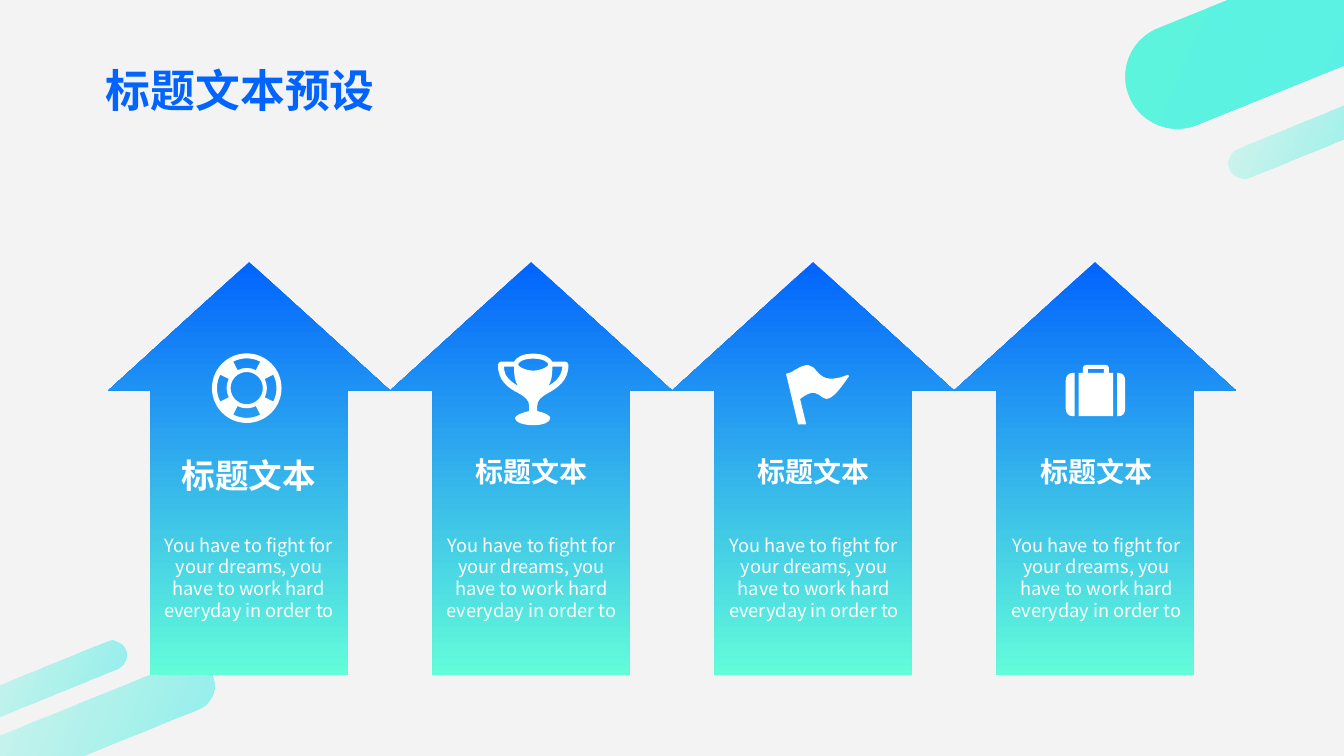
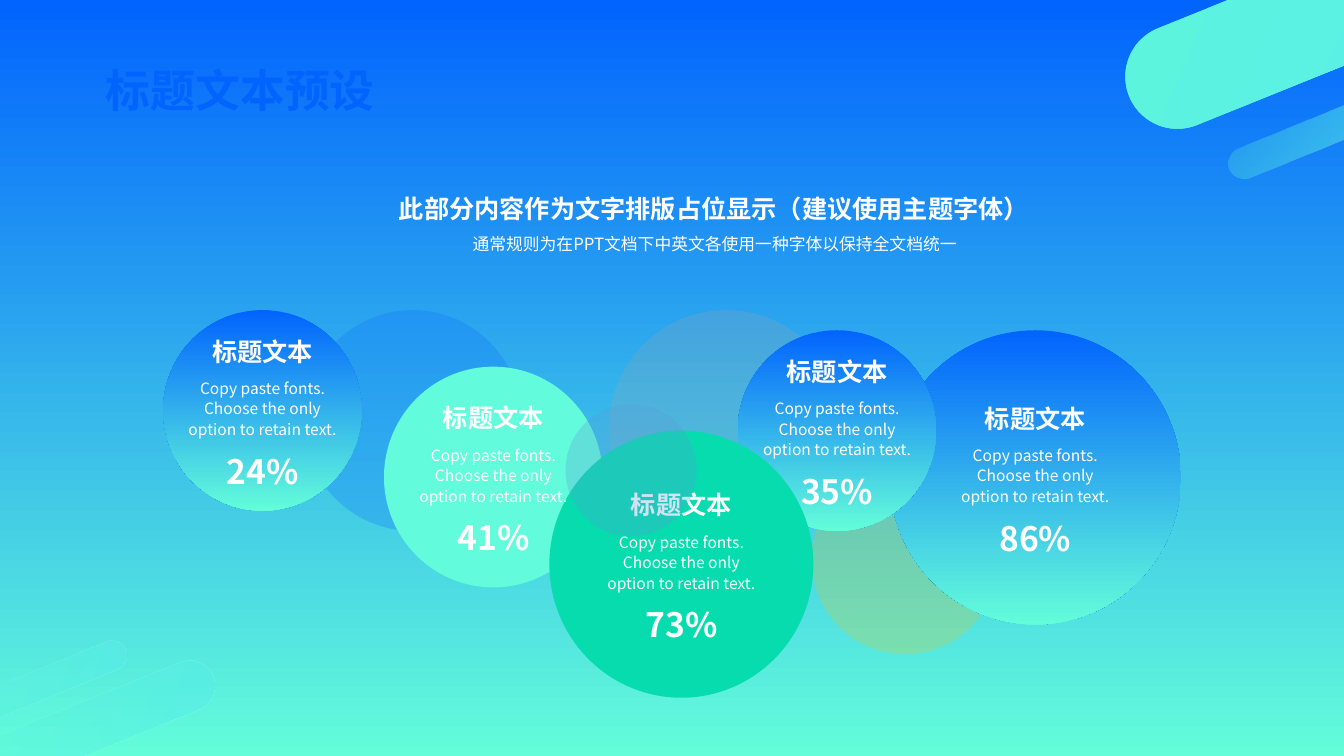
import math
import lxml.etree
import pptx
import pptx.dml.color
import pptx.enum.shapes
import pptx.enum.text
import pptx.oxml.ns
import pptx.util

Pt = pptx.util.Pt
KIND = pptx.enum.shapes.MSO_SHAPE
ALIGN = pptx.enum.text.PP_ALIGN
ANCHOR = pptx.enum.text.MSO_ANCHOR
qn = pptx.oxml.ns.qn

FONT = "Noto Sans CJK SC"
WHITE, BLUE, MINT = "FFFFFF", "0164FE", "63FDDA"
FADE = (BLUE, MINT)
BAR = ("5EF5DC", "58EDEA")
HEAD = "标题文本预设"
NAME = "标题文本"
DREAM = "You have to fight for your dreams, you have to work hard everyday in order to"
COPY = "Copy paste fonts. Choose the only option to retain text."

BARS = [
    ((796.4, -20.7, 278.6, 74.4), (100, 100)),
    ((874.1, 86.4, 122.4, 22.3), (20, 66)),
    ((-32.4, 501.1, 191.5, 36), (20, 66)),
    ((-27, 476.2, 121, 20.9), (20, 66)),
]

CUP = [
    [(39, 52), (39, 46, 43, 43, 50, 39), (59, 34, 70, 27, 70, 11), (70, 9, 68, 8, 67, 8),
     (54, 8), (52, 4, 46, 0, 35, 0), (24, 0, 18, 4, 16, 8), (3, 8), (2, 8, 0, 9, 0, 11),
     (0, 27, 10, 34, 20, 39), (27, 43, 31, 46, 31, 52), (31, 57), (22, 59, 17, 62, 17, 64),
     (17, 68, 25, 71, 35, 71), (45, 71, 52, 68, 52, 64), (52, 62, 48, 59, 39, 57)],
    [(50, 32), (53, 28, 54, 22, 54, 13), (64, 13), (63, 23, 57, 28, 50, 32)],
    [(35, 5), (46, 5, 50, 9, 50, 11), (50, 12, 46, 16, 35, 17),
     (24, 16, 20, 12, 20, 11), (20, 9, 24, 5, 35, 5)],
    [(6, 13), (16, 13), (16, 22, 17, 28, 20, 32), (13, 28, 6, 23, 6, 13)],
]
FLAG = [
    [(61, 25), (21, 41, 38, 0, 6, 22), (0, 24), (12, 74), (20, 74), (14, 49),
     (41, 27, 30, 74, 62, 27), (64, 27, 62, 25, 61, 25)],
]
CASE = [
    [(9, 51), (7, 51), (3, 51, 0, 48, 0, 43), (0, 16), (0, 11, 3, 8, 7, 8), (9, 8)],
    [(47, 51), (13, 51), (13, 8), (17, 8), (17, 3), (17, 1, 19, 0, 21, 0), (39, 0),
     (41, 0, 43, 1, 43, 3), (43, 8), (47, 8)],
    [(38, 8), (38, 4), (22, 4), (22, 8)],
    [(59, 43), (59, 48, 57, 51, 52, 51), (51, 51), (51, 8), (52, 8), (57, 8, 59, 11, 59, 16)],
]


def hue(code):
    """Turn a hex string into a colour."""
    return pptx.dml.color.RGBColor.from_string(code)


def blend(fill, tones, angle=90):
    """Give a fill a two-stop gradient, with the angle clockwise."""
    fill.gradient()
    fill.gradient_angle = 360 - angle
    for stop, tone in zip(fill.gradient_stops, tones):
        stop.color.rgb = hue(tone)


def paint(shape, tones, angle=90, alphas=(100, 100)):
    """Fill a shape with one tone or two, without line or shadow."""
    if len(tones) == 1:
        shape.fill.solid()
        shape.fill.fore_color.rgb = hue(tones[0])
    else:
        blend(shape.fill, tones, angle)
    shape.line.fill.background()
    shape.shadow.inherit = False
    for node, alpha in zip(shape._element.spPr.iter(qn("a:srgbClr")), alphas):
        if alpha < 100:
            lxml.etree.SubElement(node, qn("a:alpha")).set("val", str(alpha * 1000))


def place(slide, kind, box):
    """Add a preset shape in a box."""
    return slide.shapes.add_shape(kind, *map(Pt, box))


def write(frame, text, size, tone=WHITE, bold=False, align=ALIGN.CENTER,
          anchor=ANCHOR.TOP, space=1.0, left=7.2):
    """Set and format the text of a frame."""
    frame.word_wrap = True
    frame.auto_size = pptx.enum.text.MSO_AUTO_SIZE.NONE
    frame.vertical_anchor = anchor
    frame.margin_left, frame.margin_right = Pt(left), Pt(7.2)
    frame.margin_top = frame.margin_bottom = Pt(3.6)
    frame.text = text
    para = frame.paragraphs[0]
    para.alignment = align
    para.line_spacing = space
    for run in para.runs:
        run.font.size = Pt(size)
        run.font.bold = bold
        run.font.color.rgb = hue(tone)
        run.font.name = FONT
        east = lxml.etree.SubElement(run._r.get_or_add_rPr(), qn("a:ea"))
        east.set("typeface", FONT)


def label(slide, box, text, size, **style):
    """Add a text box."""
    area = slide.shapes.add_textbox(*map(Pt, box))
    write(area.text_frame, text, size, **style)


def start(deck):
    """Add a slide with the shared title and corner bars."""
    slide = deck.slides.add_slide(deck.slide_layouts[5])
    title = slide.shapes.title
    title.left, title.top, title.width, title.height = map(Pt, (68.4, 41, 307.4, 46.1))
    write(title.text_frame, HEAD, 32, tone=BLUE, bold=True, align=ALIGN.LEFT)
    for box, alphas in BARS:
        bar = place(slide, KIND.ROUNDED_RECTANGLE, box)
        bar.adjustments[0] = 0.5
        bar.rotation = 338
        paint(bar, BAR, 45, alphas)
    return slide


def arc(radius, first, last):
    """Make the start point and cubic curves of an arc of the life ring."""
    count = math.ceil(abs(last - first) / 90)
    turn = math.radians(last - first) / count
    pull = 4 / 3 * math.tan(turn / 4)
    parts = []
    for i in range(count + 1):
        angle = math.radians(first) + turn * i
        dx, dy = radius * math.cos(angle), radius * math.sin(angle)
        x, y = 34.5 + dx, 34.5 + dy
        parts.append((*grip, x + pull * dy, y - pull * dx, x, y) if i else (x, y))
        grip = (x - pull * dy, y + pull * dx)
    return parts


def ring():
    """List the loops of the life ring."""
    gaps = [arc(29.5, a - 27, a + 27) + arc(20, a + 27, a - 27) for a in range(0, 360, 90)]
    return [arc(34.5, 0, 360), arc(16, 0, 360)] + gaps


def icon(slide, left, top, loops):
    """Draw white loops, in hundredths of an inch, from a corner."""
    pen = None
    for loop in loops:
        dots = [(part[i] * 72, part[i + 1] * 72) for part in loop for i in range(0, len(part), 2)]
        if pen is None:
            pen = slide.shapes.build_freeform(*dots[0], scale=Pt(0.01))
        else:
            pen.move_to(*dots[0])
        pen.add_line_segments(dots[1:], close=True)
    shape = pen.convert_to_shape(Pt(left), Pt(top))
    nodes = iter(list(shape._element.spPr.iter(qn("a:lnTo"))))
    for part in (part for loop in loops for part in loop[1:]):
        node = next(nodes)
        if len(part) == 6:
            node.tag = qn("a:cubicBezTo")
            for _ in range(2):
                spare = next(nodes)
                node.append(spare[0])
                spare.getparent().remove(spare)
    paint(shape, [WHITE])


def arrow(slide, box, inner, loops, spot, size):
    """Draw an arrow with its icon, heading and text."""
    left, top = box[:2]
    shape = place(slide, KIND.UP_ARROW, box)
    shape.adjustments[0], shape.adjustments[1] = 69.9 / 100, 45.6 / 100
    paint(shape, FADE)
    icon(slide, left + spot[0], top + spot[1], loops)
    label(slide, (left + inner, top + 133.9, 136.8, 1.2 * size + 7.2), NAME, size, bold=True)
    label(slide, (left + inner, top + 190.6, 136.8, 70.6), DREAM, 13)


def disc(slide, box, tones, alpha=100):
    """Draw a circle."""
    paint(place(slide, KIND.OVAL, box), tones, alphas=(alpha, alpha))


def stat(slide, box, share):
    """Centre a heading, text and share in a circle's box."""
    left, top, width, height = box
    x, y = left + (width - 130.3) / 2, top + (height - 118.1) / 2
    label(slide, (x, y + 84.2, 130.3, 33.8), share, 24, bold=True)
    label(slide, (x, y, 130.3, 31), NAME, 18, bold=True, anchor=ANCHOR.BOTTOM)
    label(slide, (x, y + 31.7, 130.3, 52.6), COPY, 11.1, space=1.1)


def arrows(deck):
    """Build the slide of four arrows."""
    slide = start(deck)
    slide.background.fill.solid()
    slide.background.fill.fore_color.rgb = hue("F3F3F3")
    items = [
        (ring(), (74.2, 65.2), 24),
        (CUP, (77.1, 65.4), 20),
        (FLAG, (81.5, 62.6), 20),
        (CASE, (79.8, 73.4), 20),
    ]
    for i, item in enumerate(items):
        arrow(slide, (77.2 + 201.4 * i, 187.2, 201.6, 295.2), 32.2 + 0.4 * i, *item)


def circles(deck):
    """Build the slide of circles with shares."""
    slide = start(deck)
    blend(slide.background.fill, FADE)
    disc(slide, (579.6, 331.9, 133.9, 135.4), ["FFC000"], 21)
    disc(slide, (434.9, 221.5, 167.8, 169.2), ["A5A5A5"], 21)
    disc(slide, (216.7, 221.5, 156.2, 157.7), ["0F74FD"], 28)
    stats = [
        ((635.4, 235.9, 208.1, 210.2), FADE, "86%"),
        ((527, 235.9, 141.8, 143.3), FADE, "35%"),
        ((116.6, 221.5, 141.8, 143.3), FADE, "24%"),
        ((274.3, 261.9, 156.2, 157.7), ["62FBDB"], "41%"),
        ((392.4, 307.6, 188.6, 190.8), ["06DCAE"], "73%"),
    ]
    for box, tones, _ in stats:
        disc(slide, box, tones)
    for box, _, share in stats:
        stat(slide, box, share)
    disc(slide, (404, 288.7, 93.6, 94.3), ["5B9BD5"], 28)
    label(slide, (247, 128.2, 527, 37.4), "此部分内容作为文字排版占位显示（建议使用主题字体）",
          18, bold=True, space=1.3, left=5.8)
    label(slide, (247.7, 163.4, 527, 54.7),
          "通常规则为在PPT文档下中英文各使用一种字体以保持全文档统一", 12, left=5.8)


def main():
    """Build and save the deck."""
    deck = pptx.Presentation()
    deck.slide_width, deck.slide_height = Pt(960), Pt(540)
    arrows(deck)
    circles(deck)
    deck.save("out.pptx")


if __name__ == "__main__":
    main()
